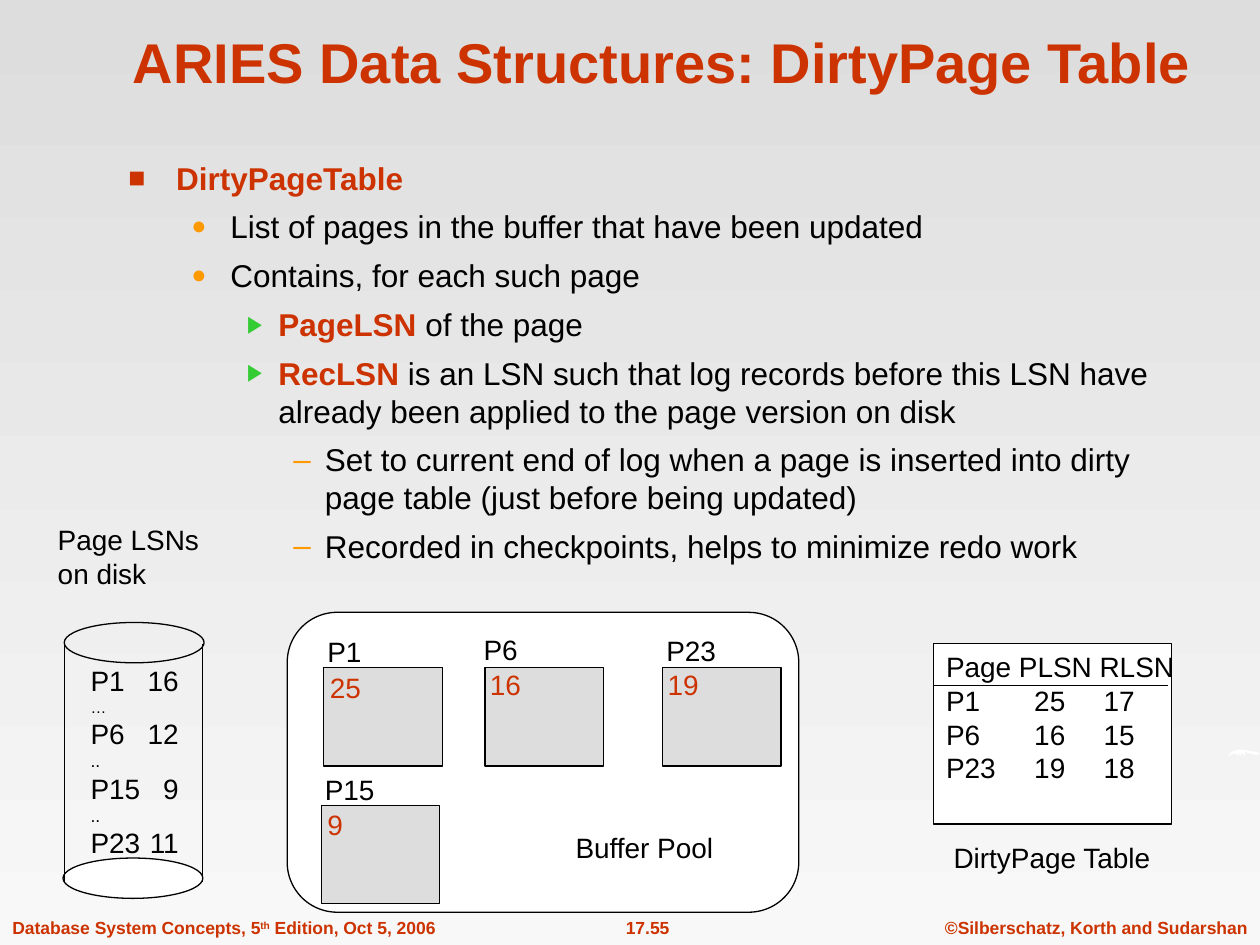
from lxml.etree import SubElement
from pptx import Presentation
from pptx.dml.color import RGBColor
from pptx.enum.shapes import MSO_CONNECTOR, MSO_SHAPE
from pptx.enum.text import MSO_ANCHOR, PP_ALIGN
from pptx.oxml.ns import qn
from pptx.util import Inches, Pt

FONT = "Arial"
RED, ORANGE, GREEN = "CC3300", "FF9900", "33CC33"
BLACK, WHITE, GREY = "000000", "FFFFFF", "DDDDDD"

# Content
TITLE = "ARIES Data Structures: DirtyPage Table"
# level, red bold lead, plain remainder
BODY = [
    (0, "DirtyPageTable", ""),
    (1, "", "List of pages in the buffer that have been updated"),
    (1, "", "Contains, for each such page"),
    (2, "PageLSN", " of the page"),
    (2, "RecLSN ", "is an LSN such that log records before this LSN have "
                   "already been applied to the page version on disk"),
    (3, "", "Set to current end of log when a page is inserted into dirty "
            "page table (just before being updated)"),
    (3, "", "Recorded in checkpoints, helps to minimize redo work"),
]
# symbol, colour, size %, left margin, hanging indent
BULLETS = [("■", RED, 90, 0.38, 0.38), ("●", ORANGE, 80, 0.81, 0.31),
           ("▶", GREEN, 75, 1.19, 0.25), ("–", ORANGE, 100, 1.56, 0.25)]
DISK = [("P1\t16", 16), ("…", 9), ("P6\t12", 16), ("..", 10),
        ("P15\t9", 16), ("..", 10), ("P23\t11", 16)]
DIRTY = ["Page PLSN RLSN", "P1\t25\t17", "P6\t16\t15", "P23\t19\t18"]
# page, LSN, frame left and top, label left, top and width, LSN left and top
FRAMES = [("P1", "25", 2.57, 5.3, 2.5, 4.99, 0.47, 2.52, 5.27),
          ("P6", "16", 3.85, 5.3, 3.74, 4.97, 0.47, 3.79, 5.25),
          ("P23", "19", 5.26, 5.3, 5.19, 4.98, 0.6, 5.2, 5.25),
          ("P15", "9", 2.55, 6.39, 2.48, 6.08, 0.6, 2.5, 6.36)]
CAPTIONS = [(["Page LSNs", "on disk"], 0.36, 4.1, 1.39, 0.64),
            (["DirtyPage Table"], 7.47, 6.62, 1.79, 0.37),
            (["Buffer Pool"], 4.47, 6.54, 1.3, 0.37)]
# runs with baseline shift, left, width, alignment
FOOTERS = [
    ([("Database System Concepts, 5", 0), ("th", 30000),
      (" Edition, Oct 5, 2006", 0)], 0, 3.57, PP_ALIGN.LEFT),
    ([("17.55", 0)], 4.86, 0.56, PP_ALIGN.CENTER),
    ([("©Silberschatz, Korth and Sudarshan", 0)], 7.4, 2.6, PP_ALIGN.CENTER),
]
SWOOSH = [(9.75, 6.01), (9.76, 5.98), (9.79, 5.96), (9.83, 5.95), (9.87, 5.95),
          (9.92, 5.96), (9.97, 5.97), (10, 5.98), (9.99, 5.99), (9.96, 5.99),
          (9.92, 5.98), (9.88, 5.97), (9.88, 6), (9.85, 5.97), (9.85, 6),
          (9.82, 5.97), (9.83, 6), (9.8, 5.98), (9.77, 5.99)]

prs = Presentation()
prs.slide_width, prs.slide_height = Inches(10), Inches(7.5)
s = prs.slides.add_slide(prs.slide_layouts[6])


def rgb(value):
    return RGBColor.from_string(value)


def add_run(p, text, size=16, color=BLACK, bold=False):
    r = p.add_run()
    r.text = text
    r.font.name, r.font.size, r.font.bold = FONT, Pt(size), bold
    r.font.color.rgb = rgb(color)
    return r


def paragraphs(tf, count):
    return [tf.paragraphs[0]] + [tf.add_paragraph() for _ in range(count - 1)]


def add_text(x, y, w, h, wrap=False):
    tf = s.shapes.add_textbox(*map(Inches, (x, y, w, h))).text_frame
    tf.word_wrap = wrap
    return tf


def add_lines(tf, lines):
    ps = paragraphs(tf, len(lines))
    for p, line in zip(ps, lines):
        p.alignment = PP_ALIGN.LEFT
        add_run(p, line)
    return ps


def style(sp, fill, line=BLACK):
    sp.shadow.inherit = False
    if fill:
        sp.fill.solid()
        sp.fill.fore_color.rgb = rgb(fill)
    else:
        sp.fill.background()
    if line:
        sp.line.color.rgb = rgb(line)
        sp.line.width = Pt(0.75)
    else:
        sp.line.fill.background()
    return sp


def add_shape(kind, x, y, w, h, fill=None):
    return style(s.shapes.add_shape(kind, *map(Inches, (x, y, w, h))), fill)


def add_line(x1, y1, x2, y2):
    c = s.shapes.add_connector(MSO_CONNECTOR.STRAIGHT,
                               *map(Inches, (x1, y1, x2, y2)))
    c.line.color.rgb = rgb(BLACK)
    c.line.width = Pt(0.75)
    SubElement(c._element.spPr, qn("a:effectLst"))


def set_tabs(p, stops):
    tabs = SubElement(p._p.get_or_add_pPr(), qn("a:tabLst"))
    for pos, align in stops:
        SubElement(tabs, qn("a:tab"), pos=str(Inches(pos)), algn=align)


def set_bullet(p, level):
    char, color, size, left, hang = BULLETS[level]
    pPr = p._p.get_or_add_pPr()
    pPr.set("marL", str(Inches(left)))
    pPr.set("indent", str(-Inches(hang)))
    clr = SubElement(pPr, qn("a:buClr"))
    SubElement(clr, qn("a:srgbClr"), val=color)
    SubElement(pPr, qn("a:buSzPct"), val=str(size * 1000))
    SubElement(pPr, qn("a:buFont"), typeface=FONT)
    SubElement(pPr, qn("a:buChar"), char=char)


# Background, light towards the bottom
bg = s.background.fill
bg.gradient()
bg.gradient_angle = 270
for stop, color, pos in zip(bg.gradient_stops, (GREY, "F8F8F8"), (0, 1)):
    stop.color.rgb = rgb(color)
    stop.position = pos

# Footer and edge ornament
for runs, x, w, align in FOOTERS:
    p = add_text(x, 7.23, w, 0.27).paragraphs[0]
    p.alignment = align
    for text, shift in runs:
        r = add_run(p, text, 10, RED, True)
        if shift:
            r.font._element.set("baseline", str(shift))
points = [(Inches(x), Inches(y)) for x, y in SWOOSH]
fb = s.shapes.build_freeform(*points[0])
fb.add_line_segments(points[1:], close=True)
style(fb.convert_to_shape(), WHITE, None)

# Title
tf = add_text(0.84, 0.13, 8.83, 0.67, True)
tf.vertical_anchor = MSO_ANCHOR.BOTTOM
tf.paragraphs[0].alignment = PP_ALIGN.CENTER
add_run(tf.paragraphs[0], TITLE, 32, RED, True)

# Bulleted body
tf = add_text(0.92, 1.21, 8.71, 3.56, True)
for i, (p, (level, lead, rest)) in enumerate(zip(paragraphs(tf, len(BODY)), BODY)):
    p.level = level
    p.space_before = Pt(6.3 if i else 0)
    set_bullet(p, level)
    if lead:
        add_run(p, lead, 18, RED, True)
    if rest:
        add_run(p, rest, 18)

# Dirty page table
tf = add_shape(MSO_SHAPE.RECTANGLE, 7.41, 5.11, 1.89, 1.43, WHITE).text_frame
tf.word_wrap = False
tf.vertical_anchor = MSO_ANCHOR.TOP
tf.margin_top = Inches(0.05)
for p in add_lines(tf, DIRTY)[1:]:
    set_tabs(p, [(0.7, "l"), (1.25, "l")])
add_line(7.41, 5.44, 9.27, 5.44)

# Buffer pool with its page frames
add_shape(MSO_SHAPE.ROUNDED_RECTANGLE, 2.28, 4.86, 4.06, 2.38, WHITE)
for page, lsn, x, y, label_x, label_y, label_w, lsn_x, lsn_y in FRAMES:
    add_shape(MSO_SHAPE.RECTANGLE, x, y, 0.94, 0.78, GREY)
    tf = add_text(lsn_x, lsn_y, 0.54, 0.37, True)
    add_run(tf.paragraphs[0], lsn, color=RED)
    add_lines(add_text(label_x, label_y, label_w, 0.37), [page])

# Disk cylinder
add_shape(MSO_SHAPE.OVAL, 0.51, 4.94, 1.11, 0.32)
add_shape(MSO_SHAPE.OVAL, 0.5, 6.81, 1.11, 0.32, WHITE)
for x in (0.51, 1.61):
    add_line(x, 5.11, x, 7)
tf = add_text(0.62, 5.22, 0.91, 1.65)
for p, (text, size) in zip(paragraphs(tf, len(DISK)), DISK):
    if "\t" in text:
        set_tabs(p, [(0.7, "r")])
    add_run(p, text, size)

# Captions
for lines, x, y, w, h in CAPTIONS:
    add_lines(add_text(x, y, w, h), lines)

prs.save("out.pptx")
